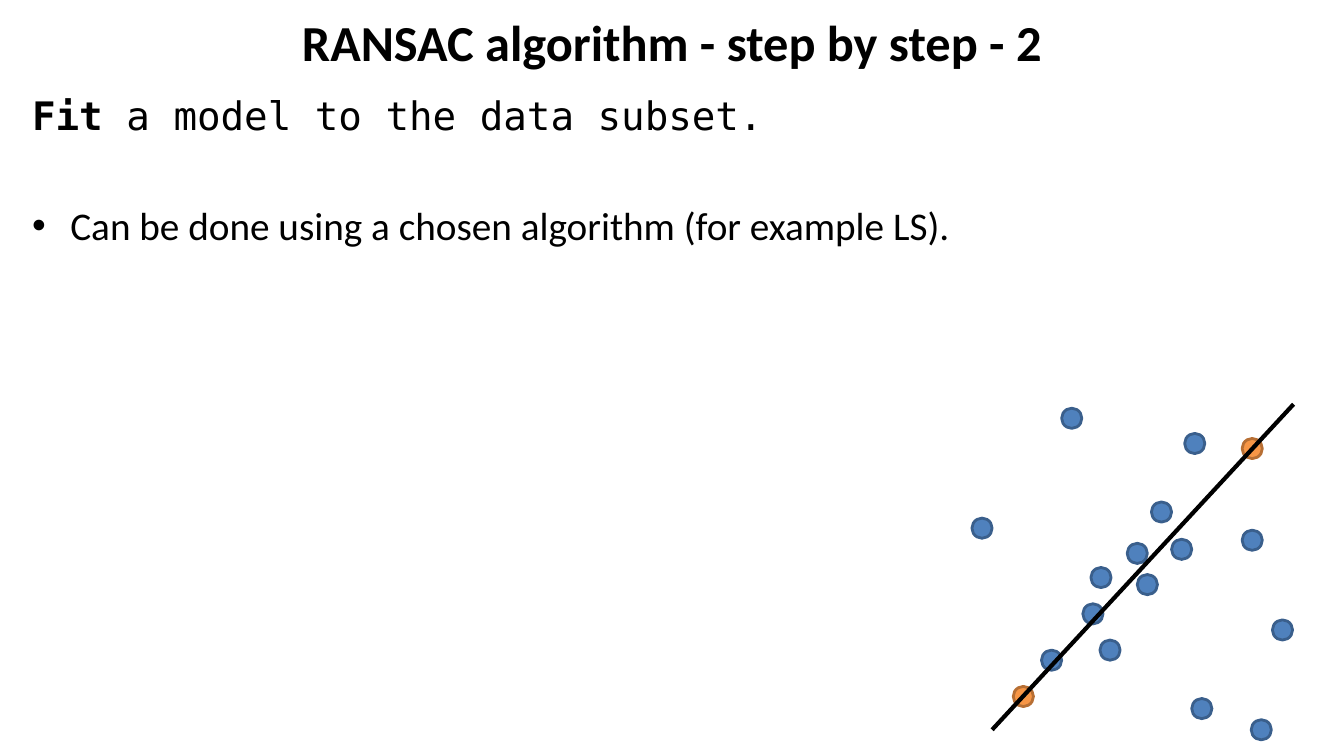
import pptx
import pptx.util
import pptx.dml.color
import pptx.enum.shapes
import pptx.enum.text
import pptx.oxml.ns
import lxml.etree

Inches = pptx.util.Inches
Pt = pptx.util.Pt
RGBColor = pptx.dml.color.RGBColor
ALIGN = pptx.enum.text.PP_ALIGN
ANCHOR = pptx.enum.text.MSO_ANCHOR
qn = pptx.oxml.ns.qn

BLACK = RGBColor(0x00, 0x00, 0x00)
BLUE = RGBColor(0x4F, 0x81, 0xBD)
DARK_BLUE = RGBColor(0x3A, 0x5F, 0x8C)
ORANGE = RGBColor(0xF7, 0x96, 0x46)
DARK_ORANGE = RGBColor(0xB7, 0x6F, 0x34)

SANS = "Calibri"
MONO = "DejaVu Sans Mono"
DOT_SIZE = 0.2

# Left and top of each dot, in inches
DATA_POINTS = [
    (12.32, 5.26), (10.33, 6.45), (10.74, 5.99), (11.28, 5.7), (11.42, 4.98),
    (11.62, 5.35), (10.82, 5.63), (10.91, 6.35), (11.82, 6.93), (10.53, 4.05),
    (12.62, 6.15), (9.64, 5.14), (11.18, 5.39), (12.41, 7.14), (11.75, 4.3),
]
SAMPLED_POINTS = [(10.05, 6.81), (12.32, 4.35)]


def add_text_frame(slide, left, top, width, height, anchor=ANCHOR.TOP):
    tf = slide.shapes.add_textbox(
        Inches(left), Inches(top), Inches(width), Inches(height)).text_frame
    tf.word_wrap = True
    tf.vertical_anchor = anchor
    return tf


def add_run(p, text, size=28, font=SANS, bold=False, color=BLACK):
    r = p.add_run()
    r.text = text
    r.font.size = Pt(size)
    r.font.name = font
    r.font.bold = bold
    r.font.color.rgb = color


def set_bullet(p, indent):
    pPr = p._p.get_or_add_pPr()
    pPr.set("marL", str(Inches(indent)))
    pPr.set("indent", str(-Inches(indent)))
    lxml.etree.SubElement(pPr, qn("a:buFont")).set("typeface", "Arial")
    lxml.etree.SubElement(pPr, qn("a:buChar")).set("char", "•")


def add_dots(slide, points, fill, outline):
    for left, top in points:
        sp = slide.shapes.add_shape(
            pptx.enum.shapes.MSO_SHAPE.OVAL, Inches(left), Inches(top),
            Inches(DOT_SIZE), Inches(DOT_SIZE))
        sp.shadow.inherit = False
        sp.fill.solid()
        sp.fill.fore_color.rgb = fill
        sp.line.color.rgb = outline
        sp.line.width = Pt(2)


def add_line(slide, start, end, color, width):
    line = slide.shapes.add_connector(
        pptx.enum.shapes.MSO_CONNECTOR.STRAIGHT,
        *(Inches(v) for v in start + end))
    line.line.color.rgb = color
    line.line.width = Pt(width)
    lxml.etree.SubElement(line._element.spPr, qn("a:effectLst"))


def main():
    prs = pptx.Presentation()
    prs.slide_width = Inches(13.33)
    prs.slide_height = Inches(7.5)
    slide = prs.slides.add_slide(prs.slide_layouts[6])

    title = add_text_frame(slide, 0.22, 0, 12.89, 0.83, ANCHOR.MIDDLE)
    p = title.paragraphs[0]
    p.alignment = ALIGN.CENTER
    add_run(p, "RANSAC algorithm - step by step - 2", size=36, bold=True)

    body = add_text_frame(slide, 0.22, 0.86, 12.89, 6.22)
    p = body.paragraphs[0]
    add_run(p, "Fit", font=MONO, bold=True)
    add_run(p, " a model to the data subset.", font=MONO)
    p = body.add_paragraph()
    p.space_before = Pt(45)
    set_bullet(p, 0.38)
    add_run(p, "Can be done using a chosen algorithm (for example LS).")

    add_dots(slide, DATA_POINTS, BLUE, DARK_BLUE)
    add_dots(slide, SAMPLED_POINTS, ORANGE, DARK_ORANGE)
    add_line(slide, (12.83, 4.01), (9.84, 7.24), BLACK, 3)

    prs.save("out.pptx")


if __name__ == "__main__":
    main()
